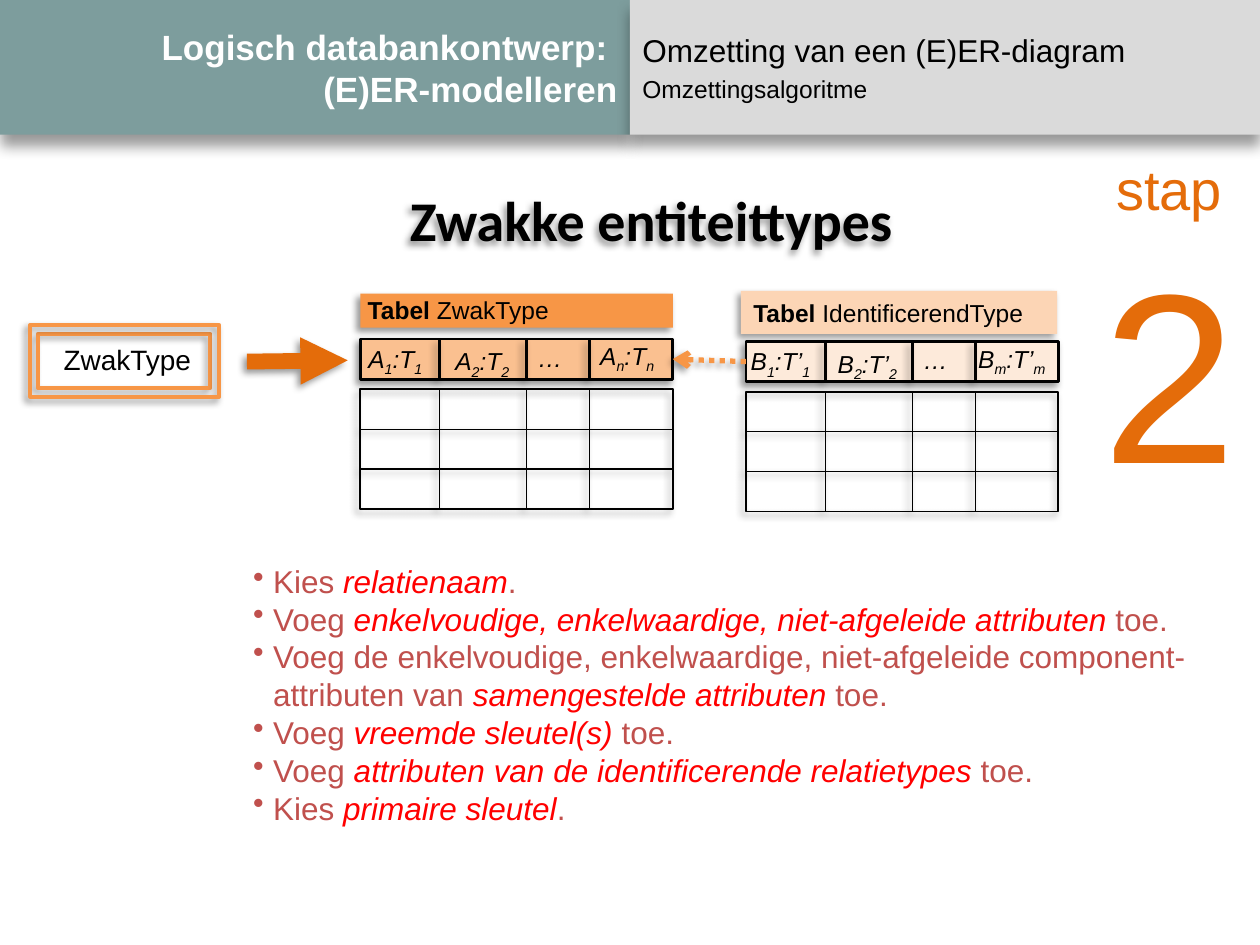
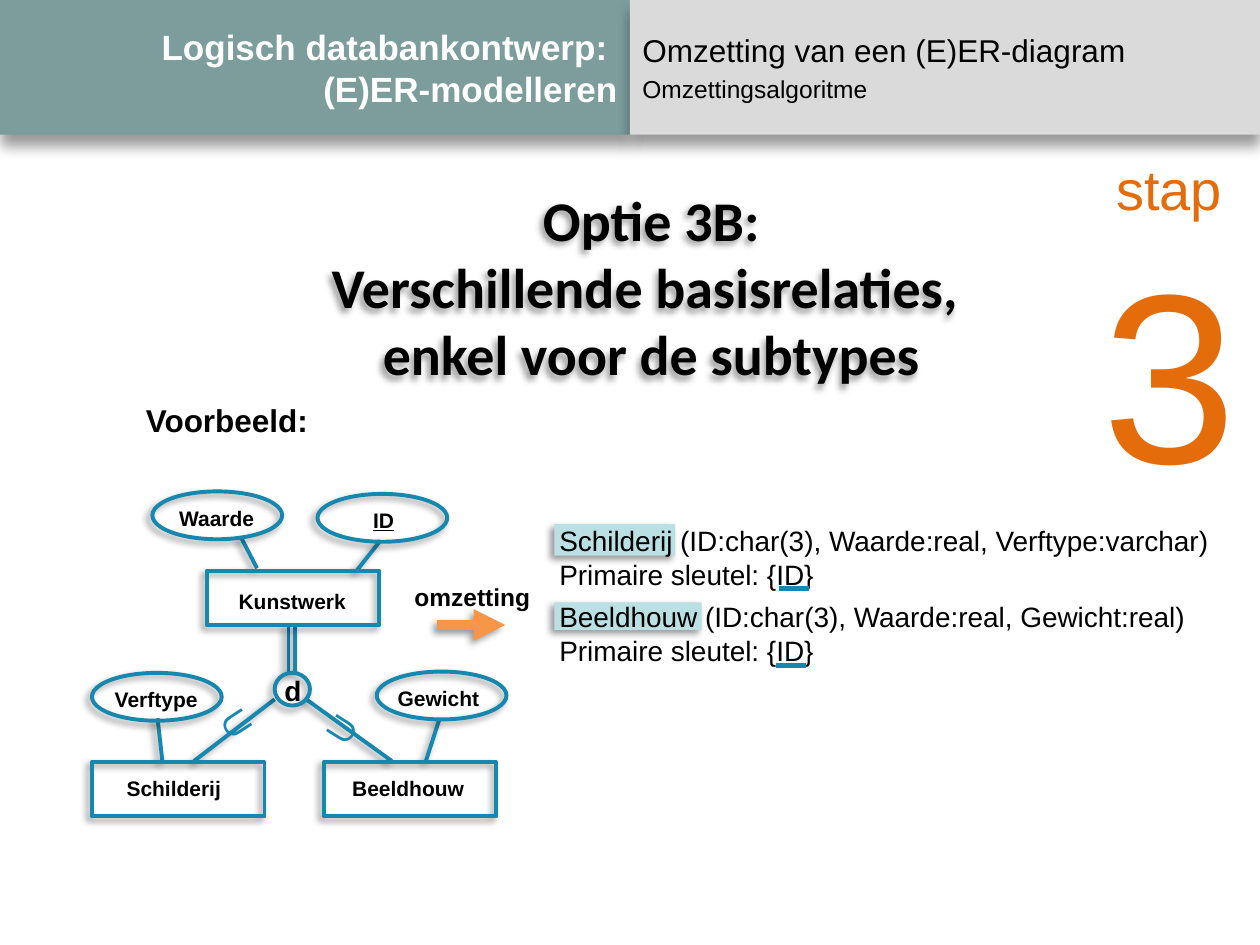
from lxml.etree import SubElement
from pptx import Presentation
from pptx.dml.color import RGBColor
from pptx.enum.dml import MSO_LINE
from pptx.enum.shapes import MSO_CONNECTOR, MSO_SHAPE
from pptx.enum.text import MSO_ANCHOR, MSO_AUTO_SIZE, PP_ALIGN
from pptx.oxml.ns import qn
from pptx.util import Inches, Pt

BLACK, WHITE, RED, BRICK = "000000", "FFFFFF", "FF0000", "C0504D"
TEAL, GREY, BLUE, AQUA = "7D9D9D", "DADADA", "1687AF", "BBE0E3"
ORANGE, DARK_ORANGE = "F79646", "E46C0A"
SOFT_SHADOW = (4, 3, 135)
BAND_SHADOW = (8, 6, 90)
COLUMN_EDGES = (0.63, 1.32, 1.82)
HEADING_CENTRES = ((0.29, -0.01), (0.98, 0.01), (1.51, -0.02), (2.13, -0.03))


def rgb(color):
    """Turn a hex string into a colour."""
    return RGBColor.from_string(color)


def cast_shadow(element, blur, distance, angle):
    """Give a shape or connector an outer black shadow."""
    properties = element._element.spPr
    effects = properties.find(qn("a:effectLst"))
    if effects is None:
        effects = SubElement(properties, qn("a:effectLst"))
    shadow = SubElement(effects, qn("a:outerShdw"), blurRad=str(Pt(blur)),
                        dist=str(Pt(distance)), dir=str(angle * 60000),
                        algn="ctr", rotWithShape="0")
    tint = SubElement(shadow, qn("a:srgbClr"), val=BLACK)
    SubElement(tint, qn("a:alpha"), val="40000")


def write(para, text, size=14, color=BLACK, bold=False, italic=False,
          underline=False, font="Arial", baseline=0):
    """Add formatted text to a paragraph, with a line break at each newline."""
    for number, line in enumerate(text.split("\n")):
        if number:
            para.add_line_break()
        span = para.add_run()
        span.text = line
        span.font.name, span.font.size = font, Pt(size)
        span.font.bold, span.font.italic = bold, italic
        span.font.underline = underline
        span.font.color.rgb = rgb(color)
        if baseline:
            span.font._element.set("baseline", str(baseline * 1000))


def add_bullet(para, hang=0.16):
    """Give a paragraph a hanging bullet."""
    properties = para._p.get_or_add_pPr()
    properties.set("marL", str(Inches(hang)))
    properties.set("indent", str(-Inches(hang)))
    SubElement(properties, qn("a:buChar"), char="•")


def fill_text(box, paragraphs, align=PP_ALIGN.LEFT, bullets=False, gaps=(), **style):
    """Write paragraphs, each a string or a list of (text, format) spans."""
    frame = box.text_frame
    for number, content in enumerate(paragraphs):
        para = frame.paragraphs[0] if number == 0 else frame.add_paragraph()
        para.alignment = align
        if number < len(gaps) and gaps[number]:
            para.space_before = Pt(gaps[number])
        if bullets:
            add_bullet(para)
        spans = [(content, {})] if isinstance(content, str) else content
        for text, changes in spans:
            write(para, text, **{**style, **changes})


def add_text(page, at, *paragraphs, wrap=False, **style):
    """Place a text box."""
    box = page.shapes.add_textbox(*map(Inches, at))
    box.text_frame.word_wrap = wrap
    box.text_frame.auto_size = MSO_AUTO_SIZE.SHAPE_TO_FIT_TEXT
    fill_text(box, paragraphs, **style)
    return box


def add_box(page, at, fill=None, line=None, width=1.0, kind=MSO_SHAPE.RECTANGLE,
            shadow=SOFT_SHADOW):
    """Place a preset shape with a shadow."""
    box = page.shapes.add_shape(kind, *map(Inches, at))
    box.shadow.inherit = False
    if fill:
        box.fill.solid()
        box.fill.fore_color.rgb = rgb(fill)
    else:
        box.fill.background()
    if line:
        box.line.color.rgb = rgb(line)
        box.line.width = Pt(width)
    else:
        box.line.fill.background()
    cast_shadow(box, *shadow)
    return box


def add_line(page, start, end, color=BLACK, width=0.75, head=None, dash=None,
             shadow=SOFT_SHADOW):
    """Draw a straight connector, with an optional arrowhead at its end."""
    line = page.shapes.add_connector(MSO_CONNECTOR.STRAIGHT, *map(Inches, (*start, *end)))
    line.line.color.rgb = rgb(color)
    line.line.width = Pt(width)
    if dash:
        line.line.dash_style = dash
    if head:
        SubElement(line.line._get_or_add_ln(), qn("a:tailEnd"), type=head)
    if shadow:
        cast_shadow(line, *shadow)
    else:
        SubElement(line._element.spPr, qn("a:effectLst"))
    return line


def add_frame(deck, step):
    """Add a page with the two title bands and the step number."""
    page = deck.slides.add_slide(deck.slide_layouts[6])
    title = add_box(page, (0, 0, 5, 1.07), TEAL, shadow=BAND_SHADOW)
    fill_text(title, ["Logisch databankontwerp: \n(E)ER-modelleren"],
              align=PP_ALIGN.RIGHT, size=20, color=WHITE, bold=True)
    topic = add_box(page, (5, 0, 5, 1.07), GREY, shadow=BAND_SHADOW)
    fill_text(topic, [[("Omzetting van een (E)ER-diagram", {"size": 18})],
                      "Omzettingsalgoritme"], gaps=(0, 3))
    for band in (title, topic):
        band.text_frame.vertical_anchor = MSO_ANCHOR.MIDDLE
    add_text(page, (8.63, 1.18, 1.3, 2.96), [("stap", {"size": 32})], step,
             size=138, color=DARK_ORANGE, align=PP_ALIGN.CENTER)
    return page


def add_heading(page, at, text):
    """Place the large heading with its shadow."""
    heading = add_text(page, at, text, size=32, bold=True, font="Calibri",
                       align=PP_ALIGN.CENTER)
    cast_shadow(heading, *SOFT_SHADOW)


def add_relation(page, left, top, fill, columns, kind, heading_width):
    """Draw a relation with its heading row and empty rows, and return the heading."""
    header = add_box(page, (left, top, 2.48, 0.32), fill, BLACK, 1.5)
    body_top, body_height = top + 0.4, 0.95
    add_box(page, (left, body_top, 2.48, body_height), line=BLACK)
    for row in (1, 2):
        y = body_top + row * body_height / 3
        add_line(page, (left, y), (left + 2.48, y))
    for edge in COLUMN_EDGES:
        x = left + edge
        add_line(page, (x, top), (x, top + 0.32), width=1.5)
        add_line(page, (x, body_top), (x, body_top + body_height))
    for index, (centre, drop) in zip(columns, HEADING_CENTRES):
        name, domain = kind
        width = 0.4 if index == "…" else heading_width + (0.07 if index == "m" else 0)
        below = (index, {"baseline": -25})
        spans = [("…", {})] if index == "…" else [(name, {}), below, (f":{domain}", {}), below]
        add_text(page, (left + centre - width / 2, top + drop, width, 0.34), spans,
                 italic=True)
    return header


def add_node(page, kind, left, top, label, label_left, label_width, drop=0.06,
             underline=False):
    """Draw an entity or attribute of the diagram with its label."""
    width, height = (1.37, 0.43) if kind == MSO_SHAPE.RECTANGLE else (1.03, 0.38)
    add_box(page, (left, top, width, height), line=BLUE, width=2.25, kind=kind)
    add_text(page, (label_left, top + drop, label_width, 0.3), label, size=12,
             bold=True, underline=underline, align=PP_ALIGN.CENTER)


def build_weak_types(deck):
    """Build the page about weak entity types."""
    page = add_frame(deck, "2")
    add_heading(page, (3.13, 1.42, 4.08, 0.64), "Zwakke entiteittypes")
    for at in ((0.3, 2.65, 1.37, 0.43), (0.24, 2.58, 1.5, 0.57)):
        add_box(page, at, line=ORANGE, width=2.25)
    add_text(page, (0.4, 2.67, 1.22, 0.37), "ZwakType", size=16, align=PP_ALIGN.CENTER)
    add_line(page, (1.96, 2.87), (2.76, 2.86), DARK_ORANGE, 9, "triangle")

    add_box(page, (2.86, 2.33, 2.48, 0.27), ORANGE)
    add_text(page, (2.82, 2.29, 2.01, 0.34),
             [("Tabel ", {"bold": True}), ("ZwakType", {})], wrap=True)
    weak = add_relation(page, 2.86, 2.69, "FAC090", "12…n", ("A", "T"), 0.65)

    owner_name = add_box(page, (5.88, 2.31, 2.51, 0.34), "FCD5B5")
    fill_text(owner_name, [[("Tabel ", {"bold": True}), ("IdentificerendType", {})]])
    owner = add_relation(page, 5.92, 2.71, "FDEADA", "12…m", ("B", "T’"), 0.7)
    reference = add_line(page, (5.92, 2.87), (5.34, 2.85), ORANGE, 3, "arrow",
                         MSO_LINE.ROUND_DOT)
    reference.begin_connect(owner, 1)
    reference.end_connect(weak, 3)

    key = {"color": RED, "italic": True}
    steps = (
        ("Kies ", "relatienaam", "."),
        ("Voeg ", "enkelvoudige, enkelwaardige, niet-afgeleide attributen", " toe."),
        ("Voeg de enkelvoudige, enkelwaardige, niet-afgeleide component-\nattributen van ",
         "samengestelde attributen ", "toe."),
        ("Voeg ", "vreemde sleutel(s) ", "toe."),
        ("Voeg ", "attributen van de identificerende relatietypes ", "toe."),
        ("Kies ", "primaire sleutel", "."),
    )
    add_text(page, (1.91, 4.41, 7.69, 2.22),
             *[[(start, {}), (term, key), (end, {})] for start, term, end in steps],
             size=18, color=BRICK, bullets=True)


def build_subtypes(deck):
    """Build the page about base relations for subtypes only."""
    page = add_frame(deck, "3")
    add_heading(page, (2.51, 1.42, 5.32, 1.72),
                "Optie 3B:\nVerschillende basisrelaties, \nenkel voor de subtypes")
    add_text(page, (1.06, 3.13, 1.5, 0.4), "Voorbeeld:", size=18, bold=True)

    links = (
        ((2.83, 4.53), (3.02, 4.29)), ((2.04, 4.51), (1.91, 4.26)),
        ((1.54, 6.04), (2.18, 5.55)), ((3.11, 6.04), (2.43, 5.55)),
        ((2.29, 5.33), (2.29, 4.96)), ((2.34, 5.33), (2.34, 4.96)),
        ((1.29, 6.05), (1.25, 5.7)), ((3.38, 6.04), (3.49, 5.7)),
    )
    for start, end in links:
        add_line(page, start, end, BLUE, 2.25)
    entity, attribute = MSO_SHAPE.RECTANGLE, MSO_SHAPE.OVAL
    add_node(page, attribute, 1.21, 3.9, "Waarde", 1.32, 0.8)
    add_node(page, attribute, 2.52, 3.92, "ID", 2.86, 0.37, underline=True)
    add_node(page, attribute, 0.73, 5.34, "Verftype", 0.81, 0.86)
    add_node(page, attribute, 2.99, 5.33, "Gewicht", 3.05, 0.86)
    add_node(page, entity, 1.64, 4.53, "Kunstwerk", 1.79, 1.06, drop=0.09)
    add_node(page, entity, 0.73, 6.05, "Schilderij", 0.9, 0.96)
    add_node(page, entity, 2.57, 6.05, "Beeldhouw", 2.69, 1.1)
    add_box(page, (2.18, 5.34, 0.28, 0.26), line=BLUE, width=2.25, kind=MSO_SHAPE.OVAL)
    add_text(page, (2.16, 5.3, 0.34, 0.37), "d", size=16, bold=True)
    for left, top, angle in ((2.47, 5.52, 302.3), (1.68, 5.49, 57.1)):
        subset = add_text(page, (left, top, 0.46, 0.5), "∪", size=24, color=BLUE, bold=True)
        subset.rotation = angle

    add_text(page, (3.19, 4.57, 1.13, 0.34), "omzetting", bold=True)
    add_line(page, (3.47, 4.96), (4.01, 4.96), ORANGE, 6, "triangle")

    add_box(page, (4.4, 4.16, 0.96, 0.25), AQUA)
    add_box(page, (4.4, 4.78, 1.17, 0.22), AQUA)
    add_text(page, (4.34, 4.11, 5.39, 1.24),
             "Schilderij (ID:char(3), Waarde:real, Verftype:varchar)",
             "Primaire sleutel: {ID}",
             "Beeldhouw (ID:char(3), Waarde:real, Gewicht:real)",
             "Primaire sleutel: {ID}", wrap=True, size=16, gaps=(0, 0, 5))
    for left, top in ((6.18, 4.67), (6.16, 5.28)):
        add_line(page, (left, top), (left + 0.24, top), BLUE, 3, shadow=None)


def main():
    """Build the deck and save it."""
    deck = Presentation()
    deck.slide_width, deck.slide_height = Inches(10), Inches(7.5)
    build_weak_types(deck)
    build_subtypes(deck)
    deck.save("out.pptx")


if __name__ == "__main__":
    main()
